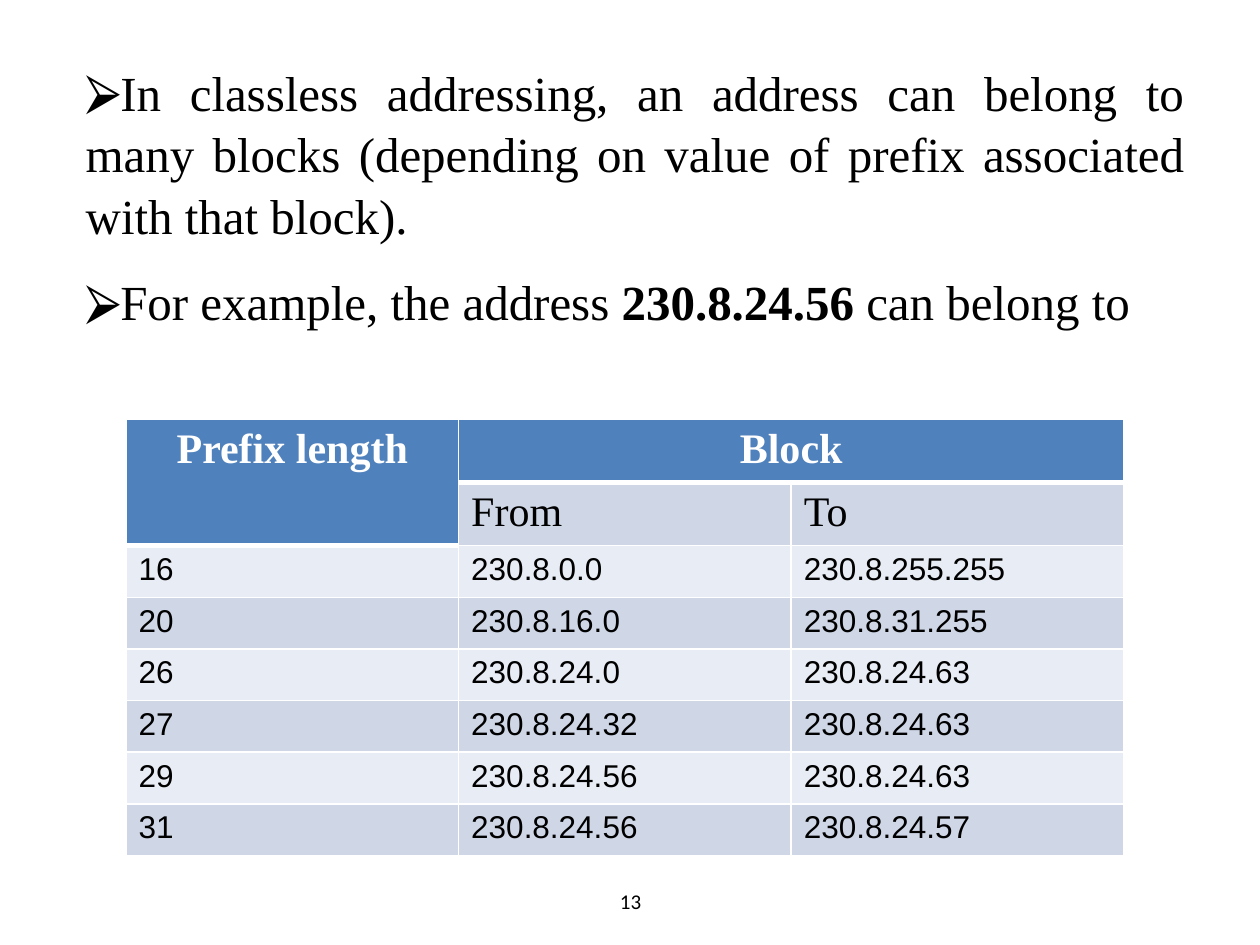
from lxml import etree
from pptx import Presentation
from pptx import util as u
from pptx.dml.color import RGBColor
from pptx.enum import text
from pptx.oxml import ns

SERIF = "Times New Roman"
ROWS = [
    ("16", "230.8.0.0", "230.8.255.255"),
    ("20", "230.8.16.0", "230.8.31.255"),
    ("26", "230.8.24.0", "230.8.24.63"),
    ("27", "230.8.24.32", "230.8.24.63"),
    ("29", "230.8.24.56", "230.8.24.63"),
    ("31", "230.8.24.56", "230.8.24.57"),
]
POINTS = [
    [("In classless addressing, an address can belong to many blocks "
      "(depending on value of prefix associated with that block).", False)],
    [("For example, the address ", False), ("230.8.24.56", True),
     (" can belong to", False)],
]


def color(code):
    return RGBColor.from_string(code)


def child(node, tag, **attrs):
    return etree.SubElement(node, ns.qn(tag), attrs)


class Deck:
    black, white = "000000", "FFFFFF"
    head, dark, light = "4F81BD", "CFD7E7", "E8ECF4"

    def __init__(self):
        self.prs = Presentation()
        self.prs.slide_width = u.Inches(10)
        self.prs.slide_height = u.Inches(7.5)
        self.slide = self.prs.slides.add_slide(self.prs.slide_layouts[1])
        title = self.slide.shapes.title
        title.element.getparent().remove(title.element)

    def run(self, para, words, size, font, hue=black, bold=False):
        run = para.add_run()
        run.text = words
        run.font.size = u.Pt(size)
        run.font.name = font
        run.font.bold = bold
        run.font.color.rgb = color(hue)

    def bullet(self, para):
        props = para._p.get_or_add_pPr()
        props.set("marL", "0")
        props.set("indent", str(u.Inches(-0.19)))
        child(child(props, "a:buClr"), "a:srgbClr", val=self.black)
        child(props, "a:buFont", typeface="Arial")
        child(props, "a:buChar", char="⮚")

    def points(self, items, box):
        body = self.slide.placeholders[1]
        body.left, body.top, body.width, body.height = map(u.Inches, box)
        frame = body.text_frame
        frame.auto_size = text.MSO_AUTO_SIZE.NONE
        for i, parts in enumerate(items):
            para = frame.add_paragraph() if i else frame.paragraphs[0]
            para.alignment = text.PP_ALIGN.JUSTIFY
            para.line_spacing = 1.05
            para.space_before = u.Pt(14 if i else 0)
            self.bullet(para)
            for words, bold in parts:
                self.run(para, words, 28, SERIF, bold=bold)

    def label(self, words, box):
        frame = self.slide.shapes.add_textbox(*map(u.Inches, box)).text_frame
        frame.word_wrap = True
        frame.vertical_anchor = text.MSO_ANCHOR.MIDDLE
        para = frame.paragraphs[0]
        para.alignment = text.PP_ALIGN.CENTER
        self.run(para, words, 12, "Calibri")

    def paint(self, cell, fill, base=1):
        props = cell._tc.get_or_add_tcPr()
        for side, width in (("L", 1), ("R", 1), ("T", 1), ("B", base)):
            line = child(props, "a:ln" + side, w=str(u.Pt(width)))
            child(child(line, "a:solidFill"), "a:srgbClr", val=self.white)
        cell.fill.solid()
        cell.fill.fore_color.rgb = color(fill)

    def table(self, rows, box):
        grid = self.slide.shapes.add_table(
            len(rows) + 2, 3, *map(u.Inches, box)).table
        for row in grid.rows:
            row.height = u.Inches(0.41)
        grid.cell(0, 0).merge(grid.cell(1, 0))
        grid.cell(0, 1).merge(grid.cell(0, 2))
        heads = [("Prefix length", "Block", ""), ("", "From", "To")]
        for r, row in enumerate(heads + rows):
            for c, words in enumerate(row):
                cell = grid.cell(r, c)
                top = r == 0 or (r == 1 and c == 0)
                band = self.dark if r % 2 else self.light
                self.paint(cell, self.head if top else band, 3 if top else 1)
                if not words:
                    continue
                para = cell.text_frame.paragraphs[0]
                if top:
                    para.alignment = text.PP_ALIGN.CENTER
                size, font = (24, SERIF) if r < 2 else (18, "Arial")
                self.run(para, words, size, font,
                         self.white if top else self.black, top)


def main():
    deck = Deck()
    deck.label("13", (3.42, 6.95, 3.17, 0.4))
    deck.points(POINTS, (0.58, 0.42, 8.92, 2.22))
    deck.table(ROWS, (1, 3.33, 7.92, 3.28))
    deck.prs.save("out.pptx")


if __name__ == "__main__":
    main()
